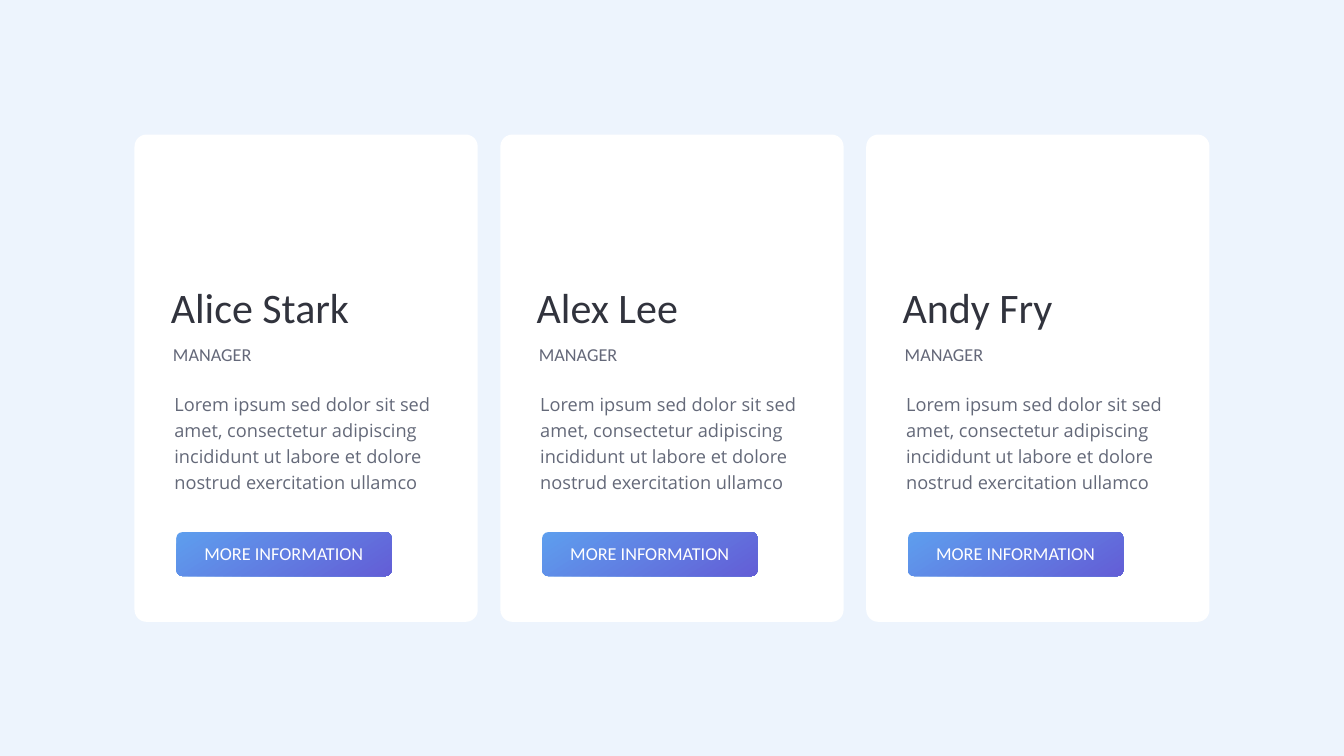
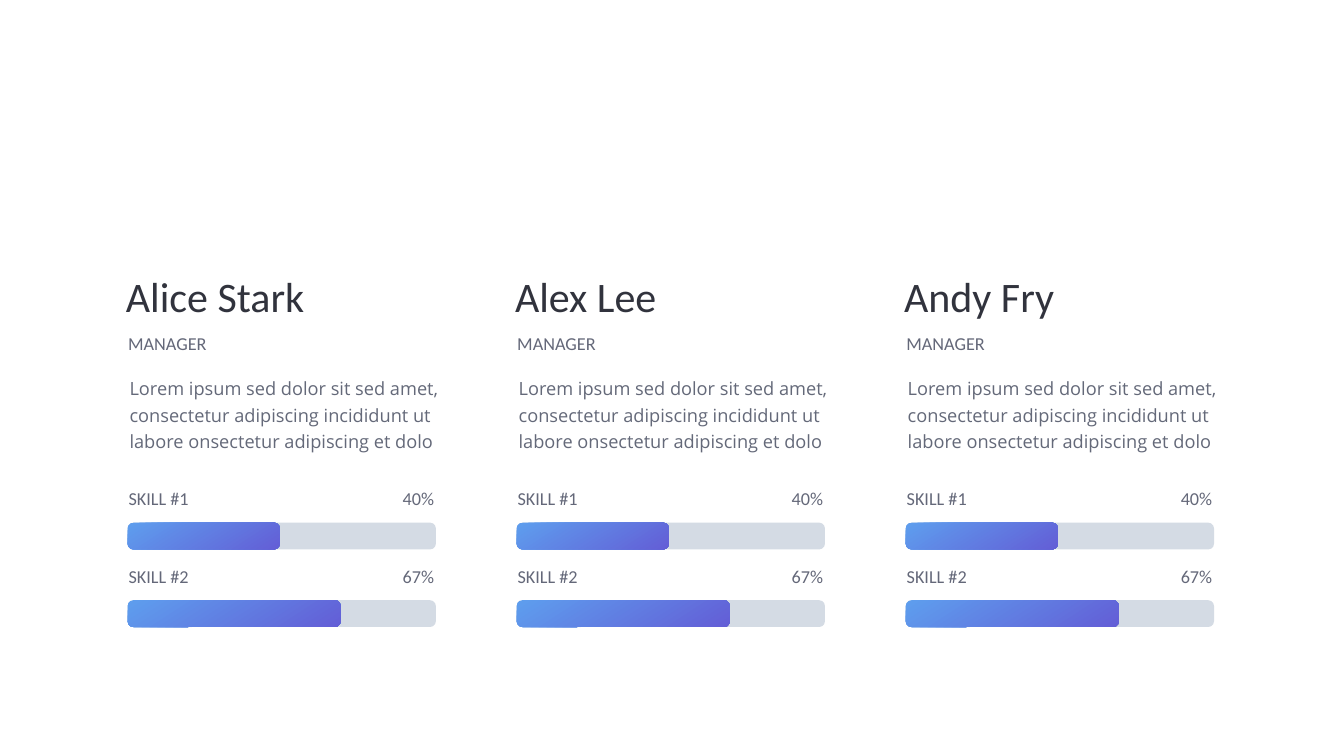
from pptx import Presentation
from pptx.dml.color import RGBColor
from pptx.enum import shapes, text
from pptx.util import Cm, Pt

PEOPLE = [("Alice Stark", "MANAGER"), ("Alex Lee", "MANAGER"), ("Andy Fry", "MANAGER")]
CARD_BIO = ("Lorem ipsum sed dolor sit sed amet, consectetur adipiscing "
            "incididunt ut labore et dolore nostrud exercitation ullamco")
SKILL_BIO = ("Lorem ipsum sed dolor sit sed amet, consectetur adipiscing "
             "incididunt ut labore onsectetur adipiscing et dolo")
BUTTON = "MORE INFORMATION"
SKILLS = [("SKILL #1", "40%", 7.67), ("SKILL #2", "67%", 10.74)]

PALE, WHITE, TRACK = "EDF4FD", "FFFFFF", "D4DBE4"
DARK, GREY, SLATE = "31333D", "646879", "646979"
BLEND = ("5E9EEE", "635ED6")
HEAD, BODY = "Calibri", "Open Sans"
LEFT, RIGHT, MID = text.PP_ALIGN.LEFT, text.PP_ALIGN.RIGHT, text.PP_ALIGN.CENTER
LINE = 1.35

deck = Presentation()
deck.slide_width, deck.slide_height = Cm(67.74), Cm(38.1)


def tint(code):
    return RGBColor.from_string(code)


def page(back):
    slide = deck.slides.add_slide(deck.slide_layouts[6])
    slide.background.fill.solid()
    slide.background.fill.fore_color.rgb = tint(back)
    return slide


def block(slide, x, y, w, h, curve, fill):
    shape = slide.shapes.add_shape(
        shapes.MSO_SHAPE.ROUNDED_RECTANGLE, Cm(x), Cm(y), Cm(w), Cm(h))
    shape.adjustments[0] = curve
    shape.shadow.inherit = False
    shape.line.fill.background()
    if isinstance(fill, str):
        shape.fill.solid()
        shape.fill.fore_color.rgb = tint(fill)
    else:
        shape.fill.gradient()
        shape.fill.gradient_angle = 303
        for stop, code in zip(shape.fill.gradient_stops, fill):
            stop.color.rgb = tint(code)


def write(slide, words, x, y, w, h=LINE, size=26, font=HEAD, color=GREY,
          align=LEFT, anchor=text.MSO_ANCHOR.MIDDLE, lead=None, before=None):
    frame = slide.shapes.add_textbox(Cm(x), Cm(y), Cm(w), Cm(h)).text_frame
    frame.word_wrap = True
    frame.auto_size = text.MSO_AUTO_SIZE.SHAPE_TO_FIT_TEXT
    frame.vertical_anchor = anchor
    frame.margin_left = frame.margin_right = Cm(0.15)
    frame.margin_top = frame.margin_bottom = Cm(0.15)
    para = frame.paragraphs[0]
    para.alignment = align
    para.line_spacing, para.space_before = lead, before
    run = para.add_run()
    run.text = words
    run.font.size, run.font.name = Pt(size), font
    run.font.color.rgb = tint(color)


def profile(slide, person, bio, x, y, drop, w, h):
    name, role = person
    write(slide, name, x, y, 13.08, 2.79, size=60, color=DARK)
    write(slide, bio, x + 0.18, y + drop, w, h, font=BODY, color=SLATE,
          anchor=text.MSO_ANCHOR.TOP, lead=1.2, before=Pt(20))
    write(slide, role, x + 0.11, y + 3.12, 10.64)


def cards():
    slide = page(PALE)
    lefts = [6.78 + 18.44 * i for i in range(len(PEOPLE))]
    for x in lefts:
        block(slide, x, 6.78, 17.3, 24.56, 0.035, WHITE)
    for x, person in zip(lefts, PEOPLE):
        profile(slide, person, CARD_BIO, x + 1.68, 14.05, 5.38, 13.84, 6.12)
        block(slide, x + 2.11, 26.82, 10.85, 2.21, 0.132, BLEND)
        write(slide, BUTTON, x + 2.21, 27.2, 10.64, color=WHITE, align=MID)


def skills():
    slide = page(WHITE)
    for i, person in enumerate(PEOPLE):
        x = 6.43 + 19.61 * i
        profile(slide, person, SKILL_BIO, x - 0.23, 13.49, 5.18, 16.05, 4.6)
        for j, (label, share, width) in enumerate(SKILLS):
            y = 26.34 + 3.91 * j
            block(slide, x, y, 15.54, LINE, 0.215, TRACK)
            block(slide, x, y, width, LINE, 0.215, BLEND)
            write(slide, label, x - 0.1, y - 1.9, 4.37)
            write(slide, share, x + 11.23, y - 1.9, 4.37, align=RIGHT)


def main():
    cards()
    skills()
    deck.save("out.pptx")


if __name__ == "__main__":
    main()
